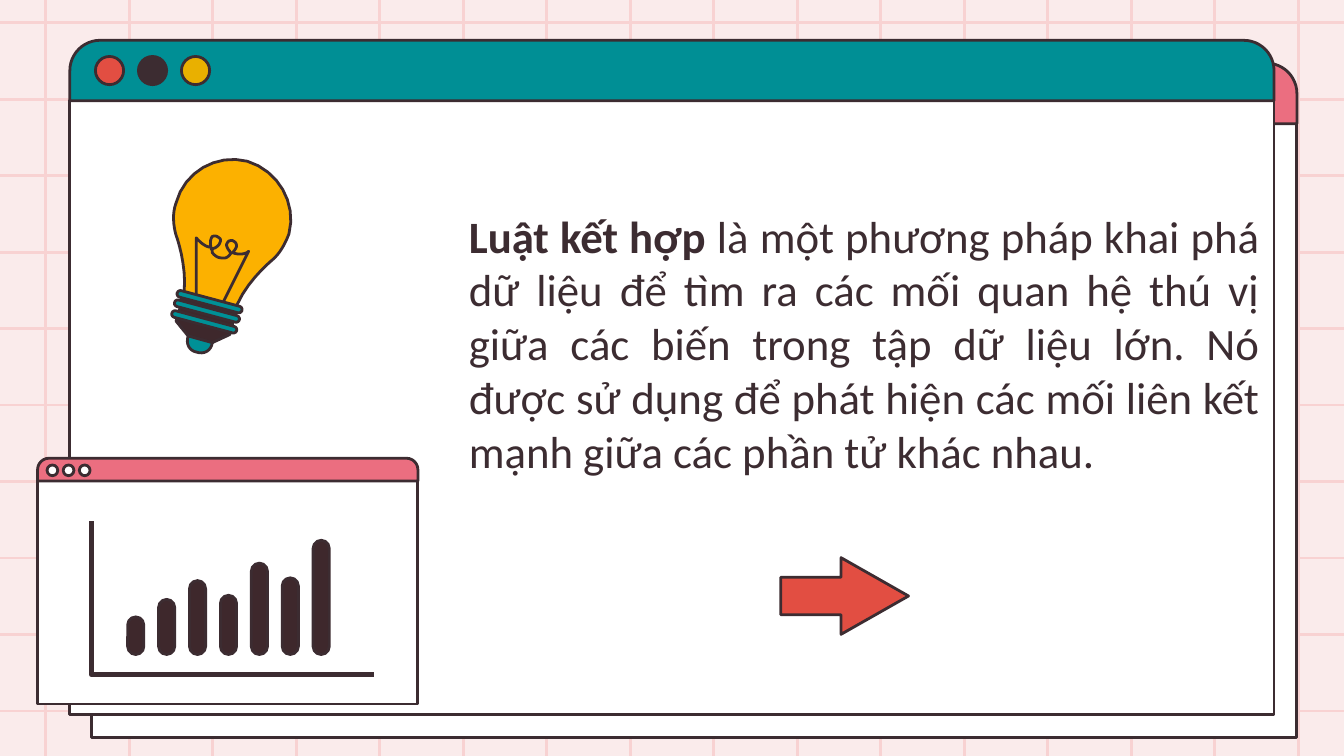
from dataclasses import dataclass

from lxml.etree import SubElement
from pptx import Presentation
from pptx.dml.color import RGBColor
from pptx.enum.shapes import MSO_CONNECTOR, MSO_SHAPE
from pptx.enum.text import MSO_ANCHOR, PP_ALIGN
from pptx.oxml.ns import qn
from pptx.util import Inches, Pt

COLORS = {
    "background": "FAEBEB", "grid": "F8D2D2", "outline": "3C2C31", "dark": "3E282C",
    "white": "FFFFFF", "pink": "EB6E80", "teal": "008F95", "band": "009096",
    "red": "E24E42", "yellow": "E9B000", "bulb": "FCB100",
}
SLIDE_WIDTH = 10
SLIDE_HEIGHT = SLIDE_WIDTH * 9 / 16
CURVE_STEPS = 8


@dataclass
class Window:
    left: float
    top: float
    width: float
    height: float
    bar_height: float
    bar_color: str
    dot_left: float = 0
    dot_top: float = 0
    dot_size: float = 0
    dot_gap: float = 0
    dot_colors: tuple = ()


@dataclass
class Outline:
    """A start point, then lines (x, y) or cubic curves (six numbers)."""
    start: tuple
    segments: list
    fill: str | None = None
    closed: bool = True
    weight: float = 1.5


BACK_WINDOW = Window(0.68, 0.47, 8.97, 5.02, 0.45, "pink")
MAIN_WINDOW = Window(0.52, 0.3, 8.96, 5.02, 0.45, "teal",
                     0.71, 0.42, 0.21, 0.32, ("red", "outline", "yellow"))
CHART_WINDOW = Window(0.28, 3.41, 2.83, 1.83, 0.17, "pink",
                      0.35, 3.46, 0.08, 0.12, ("white",) * 3)

CHART_AXES = Outline((0.68, 3.88), [(0.68, 5.02), (2.78, 5.02)], closed=False, weight=2.75)
BAR_TOPS = [4.59, 4.46, 4.32, 4.43, 4.19, 4.3, 4.02]
BAR_BOTTOM = 4.87

BULB_GLASS = Outline((2.15, 1.74), [
    (2.21, 1.51, 2.07, 1.27, 1.84, 1.2), (1.61, 1.14, 1.37, 1.28, 1.31, 1.51),
    (1.28, 1.59, 1.29, 1.68, 1.31, 1.75), (1.34, 1.83, 1.4, 2.06, 1.36, 2.23),
    (1.74, 2.34), (1.79, 2.13, 2.02, 1.94, 2.02, 1.94),
    (2.08, 1.89, 2.12, 1.82, 2.15, 1.74)], "bulb")
BULB_BASE = Outline((1.37, 2.19), [
    (1.31, 2.39), (1.4, 2.5), (1.58, 2.55), (1.71, 2.49), (1.76, 2.3)], "dark")
FILAMENT = Outline((1.46, 2.2), [
    (1.46, 1.77), (1.47, 1.78, 1.52, 1.84, 1.57, 1.84),
    (1.56, 1.8, 1.57, 1.77, 1.58, 1.76), (1.6, 1.75, 1.62, 1.76, 1.63, 1.77),
    (1.65, 1.78, 1.64, 1.8, 1.63, 1.82), (1.61, 1.84, 1.6, 1.85, 1.57, 1.85),
    (1.58, 1.86, 1.58, 1.87, 1.58, 1.88), (1.61, 1.92, 1.64, 1.92, 1.67, 1.92),
    (1.69, 1.92, 1.71, 1.9, 1.72, 1.88), (1.71, 1.88, 1.71, 1.87, 1.71, 1.87),
    (1.69, 1.85, 1.68, 1.82, 1.69, 1.81), (1.7, 1.79, 1.71, 1.79, 1.73, 1.79),
    (1.75, 1.8, 1.76, 1.81, 1.76, 1.83), (1.76, 1.84, 1.75, 1.86, 1.73, 1.88),
    (1.78, 1.9, 1.83, 1.89, 1.85, 1.87), (1.66, 2.25)], closed=False)
BULB_TIP = Outline((1.4, 2.5), [
    (1.38, 2.56, 1.41, 2.61, 1.46, 2.62), (1.52, 2.64, 1.57, 2.61, 1.58, 2.55)], "band")

DEFINITION = [
    ("Luật kết hợp ", True),
    ("là một phương pháp khai phá dữ liệu để tìm ra các mối quan hệ thú vị giữa các biến "
     "trong tập dữ liệu lớn. Nó được sử dụng để phát hiện các mối liên kết mạnh giữa các "
     "phần tử khác nhau.", False),
]


def color(name: str) -> RGBColor:
    return RGBColor.from_string(COLORS[name])


def style(shape, fill: str | None, weight: float = 1.5) -> None:
    shape.shadow.inherit = False
    if fill:
        shape.fill.solid()
        shape.fill.fore_color.rgb = color(fill)
    else:
        shape.fill.background()
    shape.line.color.rgb = color("outline")
    shape.line.width = Pt(weight)


def add_preset(slide, kind, left: float, top: float, width: float, height: float,
               fill: str, adjustments: tuple = ()):
    shape = slide.shapes.add_shape(kind, Inches(left), Inches(top),
                                   Inches(width), Inches(height))
    for index, value in enumerate(adjustments):
        shape.adjustments[index] = value
    style(shape, fill)
    return shape


def add_grid_line(slide, x1: float, y1: float, x2: float, y2: float) -> None:
    line = slide.shapes.add_connector(MSO_CONNECTOR.STRAIGHT, Inches(x1), Inches(y1),
                                      Inches(x2), Inches(y2))
    line.line.color.rgb = color("grid")
    line.line.width = Pt(1.5)
    SubElement(line._element.spPr, qn("a:effectLst"))


def spread(first: float, last: float, count: int) -> list[float]:
    return [first + (last - first) * i / (count - 1) for i in range(count)]


def curve_points(start: tuple, curve: tuple) -> list[tuple]:
    controls = [start, curve[:2], curve[2:4], curve[4:]]
    points = []
    for step in range(1, CURVE_STEPS + 1):
        t = step / CURVE_STEPS
        weights = ((1 - t) ** 3, 3 * t * (1 - t) ** 2, 3 * t * t * (1 - t), t ** 3)
        points.append(tuple(sum(w * c[axis] for w, c in zip(weights, controls))
                            for axis in (0, 1)))
    return points


def add_outline(slide, outline: Outline) -> None:
    points = [outline.start]
    for segment in outline.segments:
        points += [segment] if len(segment) == 2 else curve_points(points[-1], segment)
    corners = [(Inches(x), Inches(y)) for x, y in points]
    builder = slide.shapes.build_freeform(*corners[0])
    builder.add_line_segments(corners[1:], close=outline.closed)
    style(builder.convert_to_shape(), outline.fill, outline.weight)


def add_window(slide, window: Window) -> None:
    add_preset(slide, MSO_SHAPE.RECTANGLE, window.left, window.top + window.bar_height,
               window.width, window.height - window.bar_height, "white")
    add_preset(slide, MSO_SHAPE.ROUND_2_SAME_RECTANGLE, window.left, window.top,
               window.width, window.bar_height, window.bar_color, (0.5, 0))
    for index, dot_color in enumerate(window.dot_colors):
        add_preset(slide, MSO_SHAPE.OVAL, window.dot_left + index * window.dot_gap,
                   window.dot_top, window.dot_size, window.dot_size, dot_color)


def add_definition(slide) -> None:
    text_box = slide.shapes.add_textbox(Inches(3.39), Inches(0.96), Inches(6.08), Inches(3.18))
    text_frame = text_box.text_frame
    text_frame.word_wrap = True
    text_frame.vertical_anchor = MSO_ANCHOR.MIDDLE
    text_frame.margin_left = text_frame.margin_right = Inches(0.1)
    text_frame.margin_top = text_frame.margin_bottom = Inches(0.1)
    paragraph = text_frame.paragraphs[0]
    paragraph.alignment = PP_ALIGN.JUSTIFY
    for text, bold in DEFINITION:
        run = paragraph.add_run()
        run.text = text
        run.font.name = "Calibri"
        run.font.size = Pt(24)
        run.font.bold = bold
        run.font.color.rgb = color("outline")


def main() -> None:
    presentation = Presentation()
    presentation.slide_width = Inches(SLIDE_WIDTH)
    presentation.slide_height = Inches(SLIDE_HEIGHT)
    slide = presentation.slides.add_slide(presentation.slide_layouts[6])
    slide.background.fill.solid()
    slide.background.fill.fore_color.rgb = color("background")

    # Background grid
    for x in spread(0.34, 9.66, 16):
        add_grid_line(slide, x, 0, x, SLIDE_HEIGHT)
    for y in spread(0.17, 5.29, 10):
        add_grid_line(slide, 0, y, SLIDE_WIDTH, y)

    # Windows and definition
    add_window(slide, BACK_WINDOW)
    add_window(slide, MAIN_WINDOW)
    add_definition(slide)

    # Small window with a bar icon
    add_window(slide, CHART_WINDOW)
    add_outline(slide, CHART_AXES)
    for index, top in enumerate(BAR_TOPS):
        add_preset(slide, MSO_SHAPE.ROUNDED_RECTANGLE, 0.95 + 0.23 * index, top,
                   0.12, BAR_BOTTOM - top, "dark", (0.5,))

    # Light bulb
    for outline in (BULB_GLASS, BULB_BASE, FILAMENT):
        add_outline(slide, outline)
    for left, top in ((1.31, 2.22), (1.29, 2.29), (1.27, 2.37)):
        band = add_preset(slide, MSO_SHAPE.ROUNDED_RECTANGLE, left, top, 0.5, 0.05, "band", (0.5,))
        band.rotation = 15
    add_outline(slide, BULB_TIP)

    # Arrow
    add_preset(slide, MSO_SHAPE.RIGHT_ARROW, 5.81, 4.15, 0.95, 0.57, "red", (0.49, 0.88))
    presentation.save("out.pptx")


if __name__ == "__main__":
    main()
